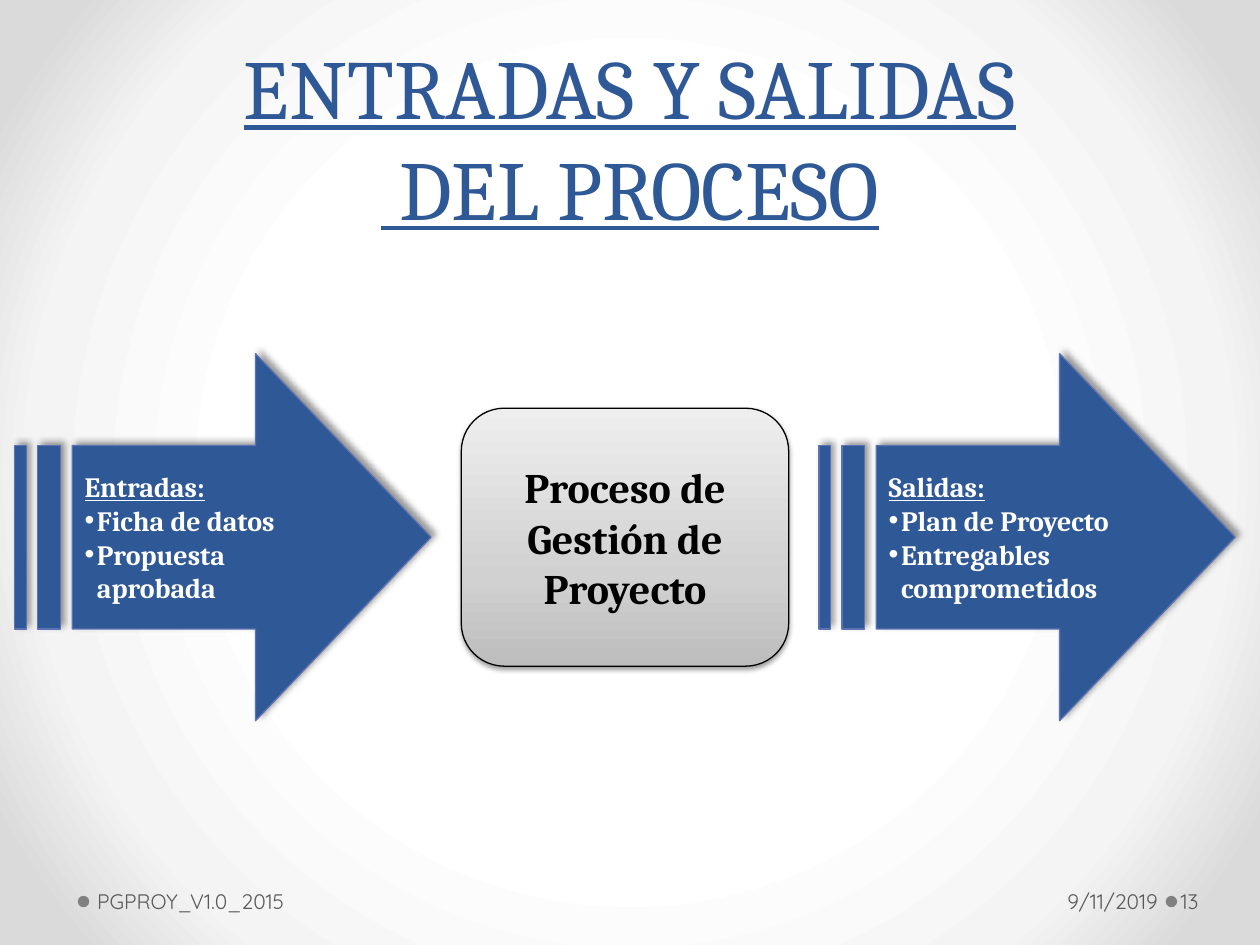
import pptx
import pptx.util
import pptx.dml.color
import pptx.enum.shapes
import pptx.enum.text
import pptx.oxml
import pptx.oxml.ns

Cm, Pt = pptx.util.Cm, pptx.util.Pt
SHAPE = pptx.enum.shapes.MSO_SHAPE
ALIGN = pptx.enum.text.PP_ALIGN
ANCHOR = pptx.enum.text.MSO_ANCHOR
COLORS = {
    "blue": "2F5897", "edge": "5C72B2", "white": "FFFFFF", "black": "000000",
    "footer": "595959", "dot": "808080", "pale": "F4F4F4", "mist": "DADADA",
    "low": "BDBDBD", "mid": "D1D1D1", "high": "EEEEEE",
}


def rgb(name):
    """Return the named colour."""
    return pptx.dml.color.RGBColor.from_string(COLORS[name])


def xml(text):
    """Parse a fragment in the drawing namespace."""
    head, tail = text.split(">", 1)
    slash = "/" if head.endswith("/") else ""
    ns = pptx.oxml.ns.nsdecls("a")
    return pptx.oxml.parse_xml(f"{head.rstrip('/')} {ns}{slash}>{tail}")


def set_gradient(fill, parent, stops, direction):
    """Fill with colour stops running in the given direction."""
    fill.gradient()
    old = parent.find(pptx.oxml.ns.qn("a:gradFill"))
    gs = "".join(f'<a:gs pos="{pos * 1000}"><a:srgbClr val="{COLORS[c]}"/></a:gs>'
                 for pos, c in stops)
    new = xml(f'<a:gradFill rotWithShape="1"><a:gsLst>{gs}</a:gsLst>{direction}</a:gradFill>')
    parent.replace(old, new)


def set_shadow(sp, alpha, blur, dist, angle):
    """Give a shape a soft black shadow."""
    sp.shadow.inherit = False
    effects = sp._element.spPr.find(pptx.oxml.ns.qn("a:effectLst"))
    effects.append(xml(
        f'<a:outerShdw blurRad="{Pt(blur)}" dist="{Pt(dist)}" dir="{angle * 60000}" '
        f'rotWithShape="0"><a:srgbClr val="{COLORS["black"]}">'
        f'<a:alpha val="{alpha * 1000}"/></a:srgbClr></a:outerShdw>'))


def add_text(p, text, size=16, color="white", font="Cambria", bold=False,
             underline=False, align=ALIGN.LEFT, bullet=False):
    """Write formatted text, with its line breaks, into a paragraph."""
    p.alignment = align
    for i, line in enumerate(text.split("\n")):
        if i:
            p.add_line_break()
        r = p.add_run()
        r.text = line
        r.font.name, r.font.size = font, Pt(size)
        r.font.bold, r.font.underline = bold, underline
        r.font.color.rgb = rgb(color)
    if bullet:
        pPr = p._p.get_or_add_pPr()
        pPr.set("marL", str(Cm(0.25)))
        pPr.set("indent", str(-Cm(0.25)))
        pPr.append(xml('<a:buFont typeface="Arial"/>'))
        pPr.append(xml('<a:buChar char="•"/>'))


def add_box(s, x, y, w, h, text, anchor=ANCHOR.MIDDLE, left=0.25, right=0.25, **fmt):
    """Add a wrapping text box."""
    tf = s.shapes.add_textbox(Cm(x), Cm(y), Cm(w), Cm(h)).text_frame
    tf.word_wrap, tf.vertical_anchor = True, anchor
    tf.margin_left, tf.margin_right = Cm(left), Cm(right)
    add_text(tf.paragraphs[0], text, **fmt)


def add_shape(s, kind, x, y, w, h, line=None):
    """Add a preset shape with an optional thin outline."""
    sp = s.shapes.add_shape(kind, Cm(x), Cm(y), Cm(w), Cm(h))
    sp.shadow.inherit = False
    if line:
        sp.line.color.rgb, sp.line.width = rgb(line), Pt(0.75)
    else:
        sp.line.fill.background()
    sp.text_frame.word_wrap = True
    sp.text_frame.vertical_anchor = ANCHOR.MIDDLE
    return sp


def add_background(s):
    """Paint the radial background."""
    fill = s.background.fill
    fill.solid()
    set_gradient(fill, s._element.cSld.bg.bgPr,
                 [(50, "white"), (76, "pale"), (92, "mist")],
                 '<a:path path="circle"><a:fillToRect l="50000" t="50000" '
                 'r="50000" b="50000"/></a:path>')


def add_arrow(s, x, y, w, h, heading, items):
    """Add a striped arrow with a heading and bullets."""
    sp = add_shape(s, SHAPE.STRIPED_RIGHT_ARROW, x, y, w, h, "edge")
    sp.adjustments[0], sp.adjustments[1] = 0.5, 0.478
    sp.fill.solid()
    sp.fill.fore_color.rgb = rgb("blue")
    set_shadow(sp, 40, 4, 3, 315)
    tf = sp.text_frame
    add_text(tf.paragraphs[0], heading, bold=True, underline=True)
    for item in items:
        add_text(tf.add_paragraph(), item, bold=True, bullet=True)


def add_process(s, x, y, w, h, text):
    """Add the rounded process box."""
    sp = add_shape(s, SHAPE.ROUNDED_RECTANGLE, x, y, w, h, "black")
    set_gradient(sp.fill, sp._element.spPr, [(0, "low"), (35, "mid"), (100, "high")],
                 f'<a:lin ang="{270 * 60000}" scaled="0"/>')
    set_shadow(sp, 38, 3.1, 1.6, 90)
    add_text(sp.text_frame.paragraphs[0], text, size=24, color="black",
             bold=True, align=ALIGN.CENTER)


def add_footer(s, x, y, w, h):
    """Add the footer, date and slide number with their dots."""
    fmt = dict(size=12, color="footer", font="Quicksand")
    for dx in (0, w - 1.77):
        dot = add_shape(s, SHAPE.OVAL, x + dx, y + 0.41, 0.23, 0.23)
        dot.fill.solid()
        dot.fill.fore_color.rgb = rgb("dot")
    add_box(s, x + 0.26, y, 10.06, h, "PGPROY_V1.0_2015", left=0.13, **fmt)
    add_box(s, x + w - 7.59, y, 5.79, h, "9/11/2019", right=0.13,
            align=ALIGN.RIGHT, **fmt)
    add_box(s, x + w - 1.55, y, 1.55, h, "13", left=0.08, right=0.13, **fmt)


def main():
    """Build the slide."""
    prs = pptx.Presentation()
    prs.slide_width, prs.slide_height = Cm(25.4), Cm(19.05)
    s = prs.slides.add_slide(prs.slide_layouts[6])
    add_background(s)
    add_footer(s, 1.57, 17.65, 23.7, 1.02)
    add_arrow(s, 0.3, 7.13, 8.39, 7.4, "Entradas:",
              ["Ficha de datos", "Propuesta aprobada"])
    add_arrow(s, 16.51, 7.13, 8.39, 7.4, "Salidas:",
              ["Plan de Proyecto", "Entregables comprometidos"])
    add_process(s, 9.3, 8.23, 6.6, 5.2, "Proceso de Gestión de Proyecto")
    add_box(s, 0.7, 0.48, 24, 4.42, "ENTRADAS Y SALIDAS\n DEL PROCESO",
            anchor=ANCHOR.BOTTOM, size=48, color="blue", underline=True,
            align=ALIGN.CENTER)
    prs.save("out.pptx")


if __name__ == "__main__":
    main()
